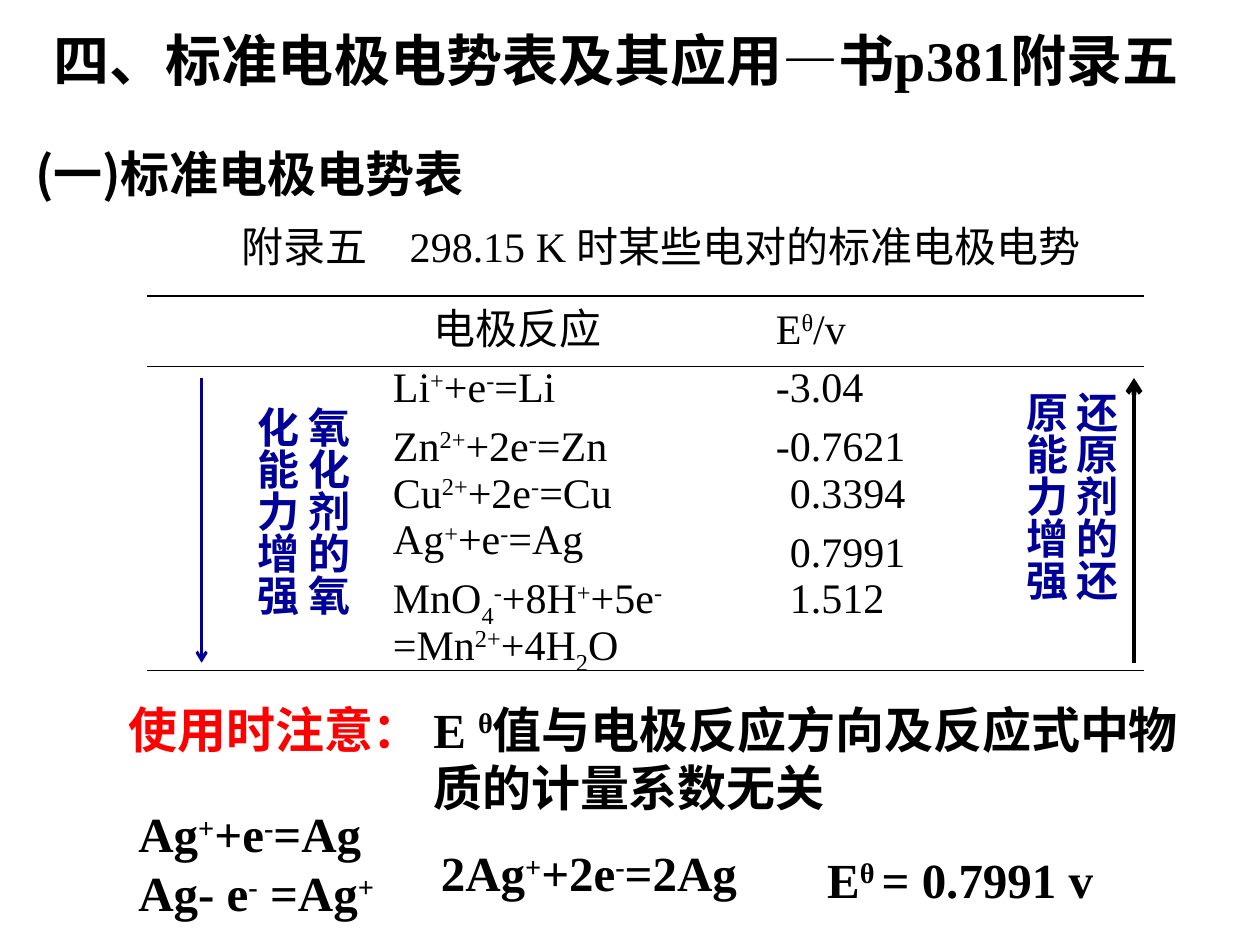
"""Build a slide on the standard electrode potential table and its use."""
from lxml.etree import SubElement
from pptx import Presentation
from pptx.dml.color import RGBColor
from pptx.enum.shapes import MSO_CONNECTOR
from pptx.enum.text import MSO_AUTO_SIZE as AutoSize, PP_ALIGN as Align
from pptx.oxml.ns import qn
from pptx.util import Inches, Pt

COLORS = {"black": "000000", "blue": "000099", "red": "FF0000"}
SERIF, SANS = "Times New Roman", "Noto Sans CJK SC"
BASELINES = {"^": "30000", "_": "-25000"}


def add_text(text, left, top, width, height=0.5, size=24, bold=False,
             color="black", font=SERIF, align=Align.LEFT, vertical=False):
    """Add a text box; "|" splits runs, "^" raises one and "_" lowers one."""
    box = slide.shapes.add_textbox(Inches(left), Inches(top), Inches(width), Inches(height))
    frame = box.text_frame
    frame.word_wrap = True
    frame.auto_size = AutoSize.SHAPE_TO_FIT_TEXT
    if vertical:
        frame._txBody.bodyPr.set("vert", "eaVert")
    paragraph = frame.paragraphs[0]
    paragraph.alignment = align
    for part in text.split("|"):
        run = paragraph.add_run()
        run.text = part.lstrip("^_")
        run.font.name = font
        run.font.size = Pt(size)
        run.font.bold = bold
        run.font.color.rgb = RGBColor.from_string(COLORS[color])
        if part[0] in BASELINES:
            run.font._element.set("baseline", BASELINES[part[0]])
    return paragraph


def add_line(start, end, color="black", weight=0.75, arrow=False):
    """Add a straight line, with an open arrowhead at its end if wanted."""
    line = slide.shapes.add_connector(
        MSO_CONNECTOR.STRAIGHT, *(Inches(value) for value in (*start, *end)))
    line.line.color.rgb = RGBColor.from_string(COLORS[color])
    line.line.width = Pt(weight)
    if arrow:
        SubElement(line.line._get_or_add_ln(), qn("a:tailEnd"), type="arrow")
    SubElement(line._element.spPr, qn("a:effectLst"))


presentation = Presentation()
presentation.slide_width, presentation.slide_height = Inches(10), Inches(7.5)
slide = presentation.slides.add_slide(presentation.slide_layouts[6])

add_text("四、标准电极电势表及其应用—书p381附录五", 0.33, 0.15, 9.67, 0.63, size=32, bold=True)
add_text("(一)标准电极电势表", 0.18, 1.09, 5.92, 0.57, size=28, bold=True, font=SANS)
add_text("附录五　298.15 K 时某些电对的标准电极电势", 1.82, 1.7, 7.18, 1.11)

for rule_top in (2.35, 2.91, 5.32):
    add_line((1.17, rule_top), (9.08, rule_top))

add_text("电极反应", 3.34, 2.35, 1.63)
add_text("E|^θ|/v", 6.06, 2.35, 1.41)

reactions = [
    ("Li|^+|+e|^-|=Li", 2.81),
    ("Zn|^2+|+2e|^-|=Zn", 3.28),
    ("Cu|^2+|+2e|^-|=Cu", 3.65),
    ("Ag|^+|+e|^-|=Ag", 4.02),
    ("MnO|_4|^-|+8H|^+|+5e|^-", 4.49),
    ("=Mn|^2+|+4H|_2|O", 4.86),
]
for reaction, top in reactions:
    add_text(reaction, 3.02, top, 3.15)

potentials = [
    ("-3.04", 6.06, 2.81),
    ("-0.7621", 6.06, 3.28),
    ("0.3394", 6.17, 3.65),
    ("0.7991", 6.17, 4.12),
    ("1.512", 6.17, 4.49),
]
for potential, left, top in potentials:
    add_text(potential, left, top, 1.63)

for trend, left, top in [("氧化剂的氧化能力增强", 1.84, 3.13), ("还原剂的还原能力增强", 7.94, 3.01)]:
    add_text(trend, left, top, 1.01, 2.14, bold=True, color="blue", vertical=True)
add_line((1.6, 3), (1.6, 5.26), color="blue", weight=1.75, arrow=True)
add_line((9, 5.26), (9, 3), weight=2.75, arrow=True)

note = add_text("E |^θ|值与电极反应方向及反应式中物质的计量系数无关",
                3.34, 5.5, 6.15, 1.04, size=28, bold=True)
note.runs[-1].font.name = SANS
add_text("使用时注意：", 0.92, 5.5, 4.42, 0.57, size=28, bold=True, color="red")

examples = [
    ("Ag|^+|+e|^-|=Ag", 1, 6.33, 3.25, Align.LEFT),
    ("Ag- e|^-| =Ag|^+", 1, 6.8, 3.25, Align.LEFT),
    ("2Ag|^+|+2e|^-|=2Ag", 3.4, 6.64, 3.58, Align.LEFT),
    ("E|^θ |= 0.7991 v", 6.33, 6.69, 2.58, Align.CENTER),
]
for example, left, top, width, align in examples:
    add_text(example, left, top, width, 0.57, size=28, bold=True, align=align)

presentation.save("out.pptx")
